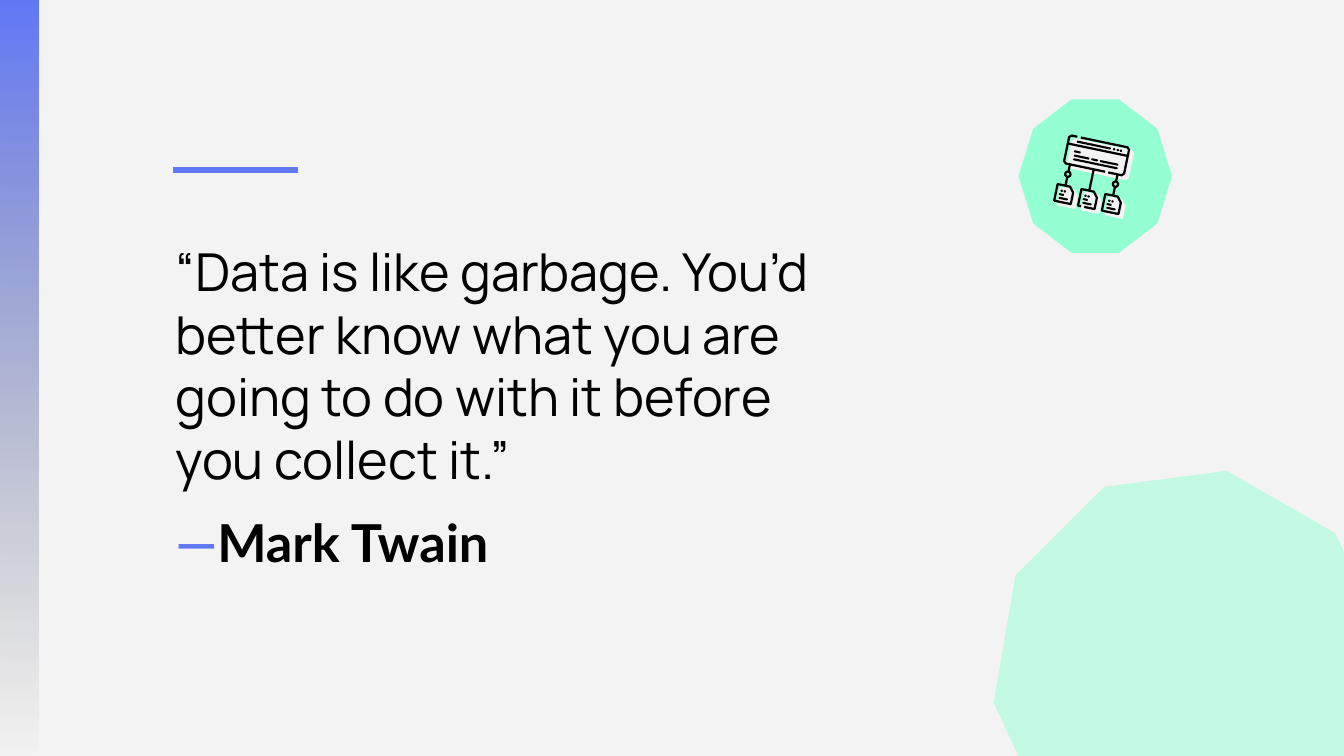
import math

from lxml import etree
from pptx import Presentation
from pptx.dml.color import RGBColor
from pptx.enum.dml import MSO_FILL
from pptx.enum.shapes import MSO_CONNECTOR, MSO_SHAPE
from pptx.enum.text import MSO_ANCHOR, MSO_AUTO_SIZE, PP_ALIGN
from pptx.oxml.ns import qn
from pptx.util import Cm, Pt

RECTANGLE, ROUNDED = MSO_SHAPE.RECTANGLE, MSO_SHAPE.ROUNDED_RECTANGLE
OVAL, DECAGON = MSO_SHAPE.OVAL, MSO_SHAPE.DECAGON
TOP, BOTTOM = MSO_ANCHOR.TOP, MSO_ANCHOR.BOTTOM

BLUE, MINT, PAPER, BLACK, GREY = "6178F6", "95FFD4", "F3F3F3", "000000", "737373"
SLIDE_W, SLIDE_H = 25.4, 14.29

AUTHOR = [("—", BLUE), ("Mark Twain", BLACK)]
QUOTE = [("“Data is like garbage. You’d better know what you are going to do "
          "with it before you collect it.”", BLACK)]

# Icon, in cm from its centre before it is tilted
ICON_CENTRE, TILT = (20.65, 3.3), 11.8
STROKE, DOT = 0.04, 0.045
SHADE_SHIFT = 0.07
WINDOW = [(-0.54, -0.64), (0.54, -0.64), (0.58, -0.6), (0.58, -0.14), (0.54, -0.1),
          (-0.54, -0.1), (-0.58, -0.14), (-0.58, -0.6)]
WINDOW_STROKES = [
    [(-0.43, -0.64), (-0.54, -0.64), (-0.58, -0.6), (-0.58, -0.14), (-0.54, -0.1),
     (0.22, -0.1)],
    [(-0.36, -0.64), (0.54, -0.64), (0.58, -0.6), (0.58, -0.14), (0.54, -0.1),
     (0.28, -0.1)],
    [(-0.58, -0.48), (0.58, -0.48)],
]
# centre x, centre y, width
WINDOW_BARS = [(-0.09, -0.55, 0.66), (-0.37, -0.36, 0.13), (-0.27, -0.28, 0.3),
               (-0.02, -0.28, 0.13), (0.26, -0.28, 0.36), (0.01, -0.21, 0.86)]
WINDOW_DOTS = [(0.3, -0.55), (0.37, -0.55), (0.43, -0.55)]
PAGE_STEP = 0.46
PAGE = [(-0.03, 0.63), (0.17, 0.63), (0.17, 0.41), (0.09, 0.31), (-0.15, 0.31),
        (-0.15, 0.63)]
PAGE_BARS = [(-0.04, 0.49, 0.1), (0.01, 0.56, 0.18)]
PAGE_DOTS = [(-0.05, 0.42), (0.01, 0.42)]
STEM_TOP, STEM_END = -0.1, 0.31
JOINT_Y, JOINT_R = 0.09, 0.05

prs = Presentation()
prs.slide_width, prs.slide_height = Cm(SLIDE_W), Cm(SLIDE_H)
slide = prs.slides.add_slide(prs.slide_layouts[5])
shapes = slide.shapes


def rgb(value):
    return RGBColor.from_string(value)


def set_alpha(colour_element, percent):
    etree.SubElement(colour_element, qn("a:alpha")).set("val", str(percent * 1000))


def paint(shape, fill=None, line=None, width=1.2):
    shape.shadow.inherit = False
    if fill:
        shape.fill.solid()
        shape.fill.fore_color.rgb = rgb(fill)
    else:
        shape.fill.background()
    if line:
        shape.line.color.rgb = rgb(line)
        shape.line.width = Pt(width)
    else:
        shape.line.fill.background()


def add_preset(kind, left, top, width, height, rotation=0, **colours):
    shape = shapes.add_shape(kind, Cm(left), Cm(top), Cm(width), Cm(height))
    shape.rotation = rotation
    paint(shape, **colours)
    return shape


def tilt(x, y):
    """Turn an icon point about the icon's centre and place it on the slide."""
    cos, sin = math.cos(math.radians(TILT)), math.sin(math.radians(TILT))
    return ICON_CENTRE[0] + x * cos - y * sin, ICON_CENTRE[1] + x * sin + y * cos


def add_path(points, close=False, shift=0, **colours):
    placed = [tilt(x, y) for x, y in points]
    placed = [(Cm(x + shift), Cm(y + shift)) for x, y in placed]
    builder = shapes.build_freeform(*placed[0])
    builder.add_line_segments(placed[1:], close=close)
    paint(builder.convert_to_shape(), **colours)


def add_mark(kind, x, y, width, height, **colours):
    """Add a tilted preset centred on an icon point."""
    cx, cy = tilt(x, y)
    shape = add_preset(kind, cx - width / 2, cy - height / 2, width, height, TILT, **colours)
    if kind == ROUNDED:
        shape.adjustments[0] = 0.5


def add_details(bars, dots, dx=0):
    for x, y, width in bars:
        add_mark(ROUNDED, x + dx, y, width, STROKE, fill=BLACK)
    for x, y in dots:
        add_mark(OVAL, x + dx, y, DOT, DOT, fill=BLACK)


def write(box, place, runs, font="Lato", size=28, bold=False, anchor=TOP, spacing=1.0):
    box.left, box.top, box.width, box.height = (Cm(v) for v in place)
    frame = box.text_frame
    frame.word_wrap, frame.auto_size = True, MSO_AUTO_SIZE.NONE
    frame.vertical_anchor = anchor
    frame.margin_left = frame.margin_right = Cm(0.25)
    frame.margin_top = frame.margin_bottom = Cm(0.25)
    paragraph = frame.paragraphs[0]
    paragraph.alignment, paragraph.line_spacing = PP_ALIGN.LEFT, spacing
    for text, colour in runs:
        run = paragraph.add_run()
        run.text = text
        run.font.name, run.font.size, run.font.bold = font, Pt(size), bold
        run.font.color.rgb = rgb(colour)


def add_icon():
    pages = [[(x + dx, y) for x, y in PAGE] for dx in (-PAGE_STEP, 0, PAGE_STEP)]
    for outline in [WINDOW] + pages:
        add_path(outline, close=True, shift=SHADE_SHIFT, fill=PAPER, line=PAPER)
    for points in WINDOW_STROKES:
        add_path(points, line=BLACK)
    add_details(WINDOW_BARS, WINDOW_DOTS)
    for index, outline in enumerate(pages):
        dx = (index - 1) * PAGE_STEP
        if dx:
            stems = [(STEM_TOP, JOINT_Y - JOINT_R), (JOINT_Y + JOINT_R, STEM_END)]
            add_mark(OVAL, dx, JOINT_Y, 2 * JOINT_R, 2 * JOINT_R, line=BLACK)
        else:
            stems = [(STEM_TOP, STEM_END)]
            outline = outline + [(-0.09, PAGE[0][1])]
        for start, end in stems:
            add_path([(dx, start), (dx, end)], line=BLACK)
        add_path(outline, close=bool(dx), line=BLACK)
        add_details(PAGE_BARS, PAGE_DOTS, dx)


slide.background.fill.solid()
slide.background.fill.fore_color.rgb = rgb(PAPER)

side_band = add_preset(RECTANGLE, 0, 0, 0.72, SLIDE_H, fill=BLUE)
side_band.fill.gradient()
side_band.fill.gradient_angle = 270
for stop, colour in zip(side_band.fill.gradient_stops, (BLUE, GREY)):
    stop.color.rgb = rgb(colour)
set_alpha(side_band.element.findall(".//" + qn("a:srgbClr"))[1], 0)

accent = shapes.add_connector(MSO_CONNECTOR.STRAIGHT, Cm(3.27), Cm(3.21), Cm(5.63), Cm(3.21))
accent.line.color.rgb, accent.line.width = rgb(BLUE), Pt(3)
etree.SubElement(accent.element.spPr, qn("a:effectLst"))

add_preset(DECAGON, 19.25, 1.88, 2.9, 2.9, fill=MINT)
add_icon()
corner = add_preset(DECAGON, 18.75, 9.02, 7.54, 7.54, 352.5, fill=MINT)
set_alpha(corner.element.spPr.find(".//" + qn("a:srgbClr")), 53)

write(shapes.title, (3.07, 9.96, 13.34, 1.12), AUTHOR, bold=True, anchor=BOTTOM)
write(shapes.add_textbox(0, 0, 0, 0), (3.07, 4.27, 13.34, 5.38), QUOTE, font="Manrope")

prs.save("out.pptx")
